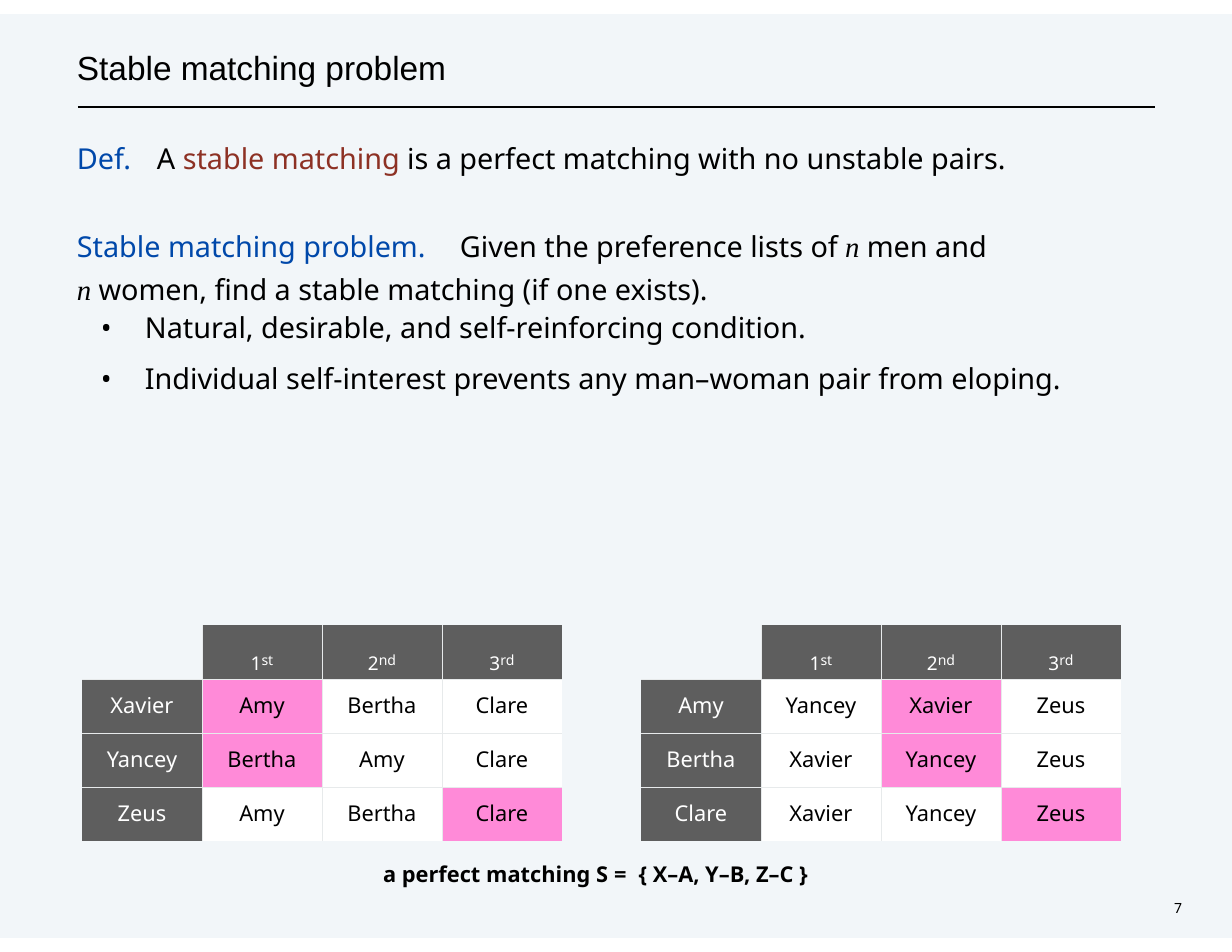
from lxml.etree import SubElement
from pptx import Presentation
from pptx.dml.color import RGBColor
from pptx.enum.shapes import MSO_CONNECTOR, MSO_SHAPE
from pptx.enum.text import MSO_ANCHOR, PP_ALIGN
from pptx.oxml.ns import qn
from pptx.util import Emu, Pt

SCALE = 914400 / 112
BLACK, WHITE, GRAY, PINK = "000000", "FFFFFF", "5E5E5E", "FF8AD8"
BLUE, RED, RULE = "0048AA", "8D3124", "E7EAEB"
SANS = "Noto Sans"
PLAIN = "{2D5ABB26-0587-4C30-8999-92F81FD0307C}"


def px(count):
    return Emu(round(count * SCALE))


def paint(target, color):
    target.rgb = RGBColor.from_string(color)


def node(parent, tag, **attrs):
    return SubElement(parent, qn(tag), {k: str(v) for k, v in attrs.items()})


def assign(target, values):
    for name, value in values.items():
        setattr(target, name, value)


def write(para, runs, size, font=SANS, color=BLACK, form=None):
    assign(para, form or {})
    for item in runs:
        text, style = (item, {}) if isinstance(item, str) else item
        run = para.add_run()
        run.text = text
        style = {"size": size, "name": font, "color": color, **style}
        paint(run.font.color, style.pop("color"))
        extra = style.pop("extra", {})
        style["size"] = Pt(style["size"])
        assign(run.font, style)
        for name, value in extra.items():
            run.font._element.set(name, str(value))


def frame(slide, box, top=1):
    text = slide.shapes.add_textbox(*map(px, box)).text_frame
    assign(text, {"word_wrap": True, "margin_left": 0, "margin_right": 0,
                  "margin_top": px(top), "margin_bottom": 0})
    return text


def label(slide, box, runs, size, before, **look):
    para = frame(slide, box).paragraphs[0]
    write(para, runs, size, form={"space_before": Pt(before)}, **look)


def back(slide, box):
    panel = slide.shapes.add_shape(MSO_SHAPE.RECTANGLE, *map(px, box))
    panel.shadow.inherit = False
    panel.fill.solid()
    paint(panel.fill.fore_color, "005493")
    tint = panel._element.spPr.find(".//" + qn("a:srgbClr"))
    node(tint, "a:alpha", val=5000)
    panel.line.fill.background()


def header(slide, box):
    left, top, width, height = box
    label(slide, (left, top, width, 44), ["Stable matching problem"],
          21.5, 1.1, font="Arial")
    ends = (left + 1, top + height, left + width, top + height)
    line = slide.shapes.add_connector(MSO_CONNECTOR.STRAIGHT, *map(px, ends))
    line.line.width = Pt(0.77)
    paint(line.line.color, BLACK)
    node(line._element.spPr, "a:effectLst")


def body(slide, box):
    blue, red = {"color": BLUE}, {"color": RED}
    math = ("n ", {"name": "Times New Roman", "italic": True})
    items = [
        (["A ", ("stable matching ", red),
          "is a perfect matching with no unstable pairs."],
         "Def.", 80, 1.1, None),
        (["Given the preference lists of ", math, "men and"],
         "Stable matching problem.", 383, 34, None),
        ([math, "women, find a stable matching (if one exists)."],
         None, 0, 7.2, 20.3),
        (["Natural, desirable, and self-reinforcing condition."],
         "•", 0, 0, 25),
        (["Individual self-interest prevents any man–woman pair from eloping."],
         "•", 0, 0, 32.5),
    ]
    text = frame(slide, box)
    for i, (runs, lead, tab, before, space) in enumerate(items):
        para = text.add_paragraph() if i else text.paragraphs[0]
        form = {"space_before": Pt(before)}
        if space:
            form["line_spacing"] = Pt(space)
        if tab:
            runs = [(lead + "\t", blue), *runs]
        write(para, runs, 18.5, form=form)
        props = para._p.get_or_add_pPr()
        if tab:
            node(node(props, "a:tabLst"), "a:tab", pos=px(tab), algn="l")
        elif lead:
            props.set("marL", str(px(68)))
            props.set("indent", str(-px(44)))
            node(props, "a:buFont", typeface=SANS)
            node(props, "a:buChar", char=lead)


def edge(cell, row, col, last):
    props = cell._tc.get_or_add_tcPr()
    inner = {"L": col > 0, "R": col < last, "T": row > 0, "B": row < last}
    if row == 0:
        inner["L"] = col > 0
    for side, shown in inner.items():
        if shown:
            line = node(props, "a:ln" + side, w=Pt(0.25))
            node(node(line, "a:solidFill"), "a:srgbClr", val=RULE)


def grid(slide, box, rows, picks):
    count = len(rows) + 1
    table = slide.shapes.add_table(count, count, *map(px, box)).table
    assign(table, {"first_row": False, "horz_banding": False})
    table._tbl.tblPr.find(qn("a:tableStyleId")).text = PLAIN
    for col in table.columns:
        col.width = px(box[2] // count)
    for row in table.rows:
        row.height = px(box[3] // count)
    ranks = [("1", "st"), ("2", "nd"), ("3", "rd")]
    for r, names in enumerate([[None, *ranks], *rows]):
        for c, name in enumerate(names):
            cell = table.cell(r, c)
            head = r == 0 or c == 0
            edge(cell, r, c, count - 1)
            assign(cell, {"margin_left": 0, "margin_right": 0,
                          "margin_top": px(11 if r else 6),
                          "margin_bottom": 0,
                          "vertical_anchor": MSO_ANCHOR.TOP})
            if name is None:
                cell.fill.background()
                continue
            cell.fill.solid()
            fill = GRAY if head else PINK if picks[r - 1] == c else WHITE
            paint(cell.fill.fore_color, fill)
            runs = [name]
            if r == 0:
                digit, mark = name
                low = {"size": 21, "extra": {"baseline": -14000, "spc": -40}}
                runs = [(digit, low), (mark, {"size": 9})]
            write(cell.text_frame.paragraphs[0], runs, 14,
                  color=WHITE if head else BLACK,
                  form={"alignment": PP_ALIGN.CENTER,
                        "space_before": Pt(7 if r else 3.3)})


def main():
    deck = Presentation()
    assign(deck, {"slide_width": px(1232), "slide_height": px(952)})
    slide = deck.slides.add_slide(deck.slide_layouts[6])
    back(slide, (0, 14, 1232, 924))
    header(slide, (77, 46, 1078, 61))
    body(slide, (77, 140, 1016, 270))
    men = [["Xavier", "Amy", "Bertha", "Clare"],
           ["Yancey", "Bertha", "Amy", "Clare"],
           ["Zeus", "Amy", "Bertha", "Clare"]]
    women = [["Amy", "Yancey", "Xavier", "Zeus"],
             ["Bertha", "Xavier", "Yancey", "Zeus"],
             ["Clare", "Xavier", "Yancey", "Zeus"]]
    pairs = [(82, men, (1, 1, 3)), (641, women, (2, 2, 3))]
    for left, rows, picks in pairs:
        grid(slide, (left, 625, 480, 216), rows, picks)
    bold = {"bold": True}
    label(slide, (383, 860, 440, 29),
          [("a perfect matching S ", bold),
           ("= ", {**bold, "extra": {"spc": 200}}),
           ("{ X–A, Y–B, Z–C }", bold)], 14, 0.9)
    label(slide, (1174, 899, 25, 20), ["7"], 9, 0.7)
    deck.save("out.pptx")


if __name__ == "__main__":
    main()
